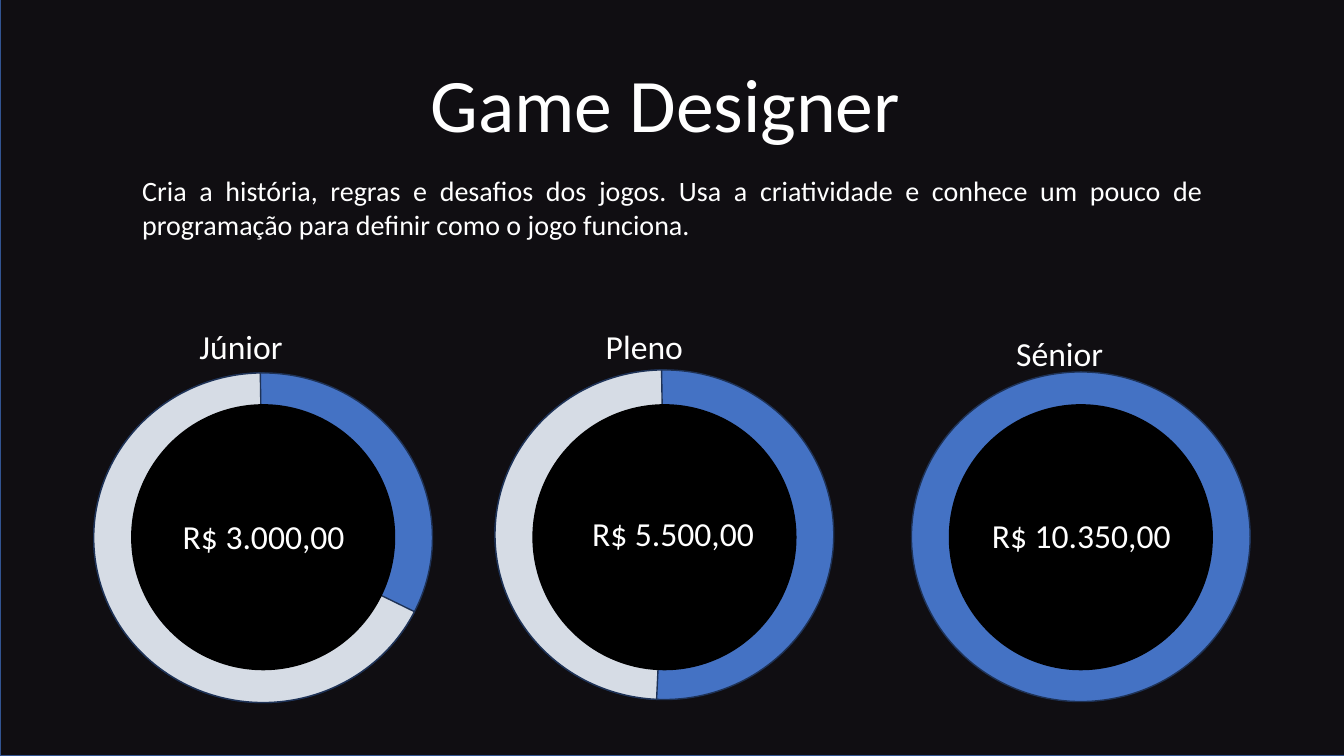
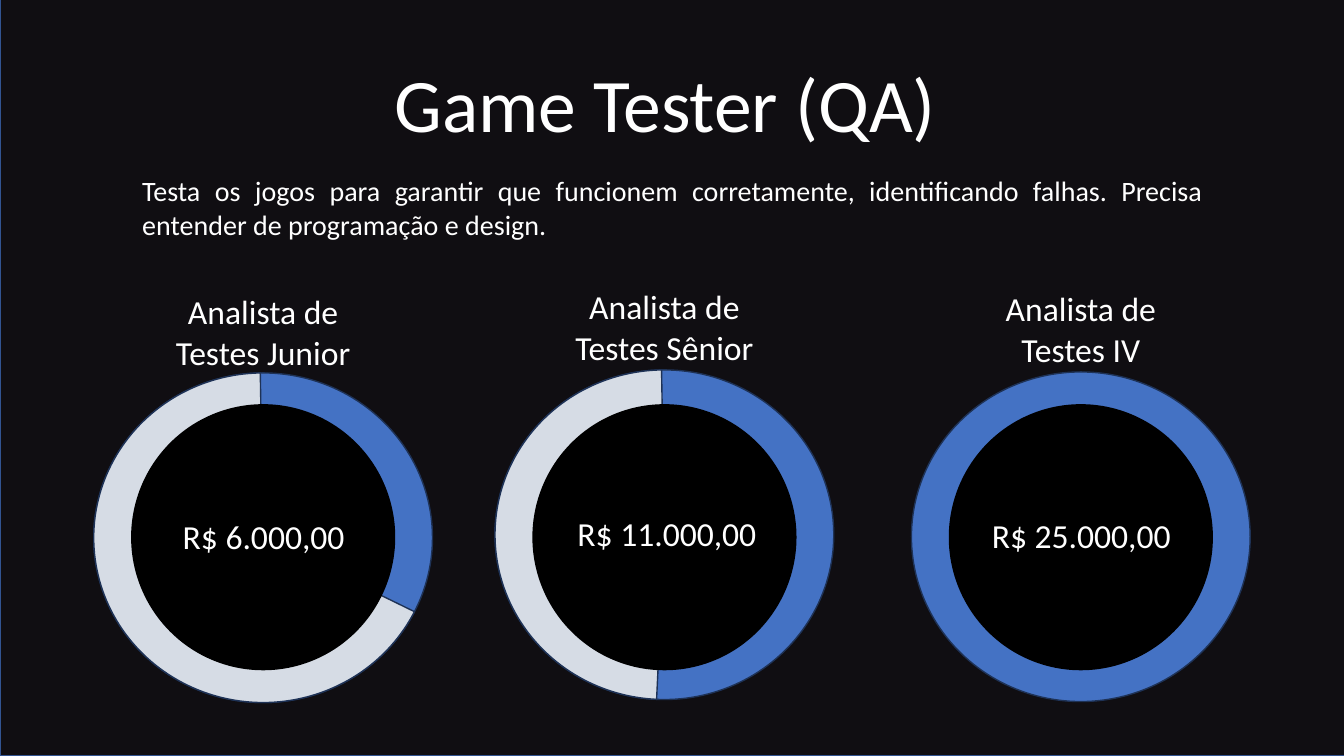
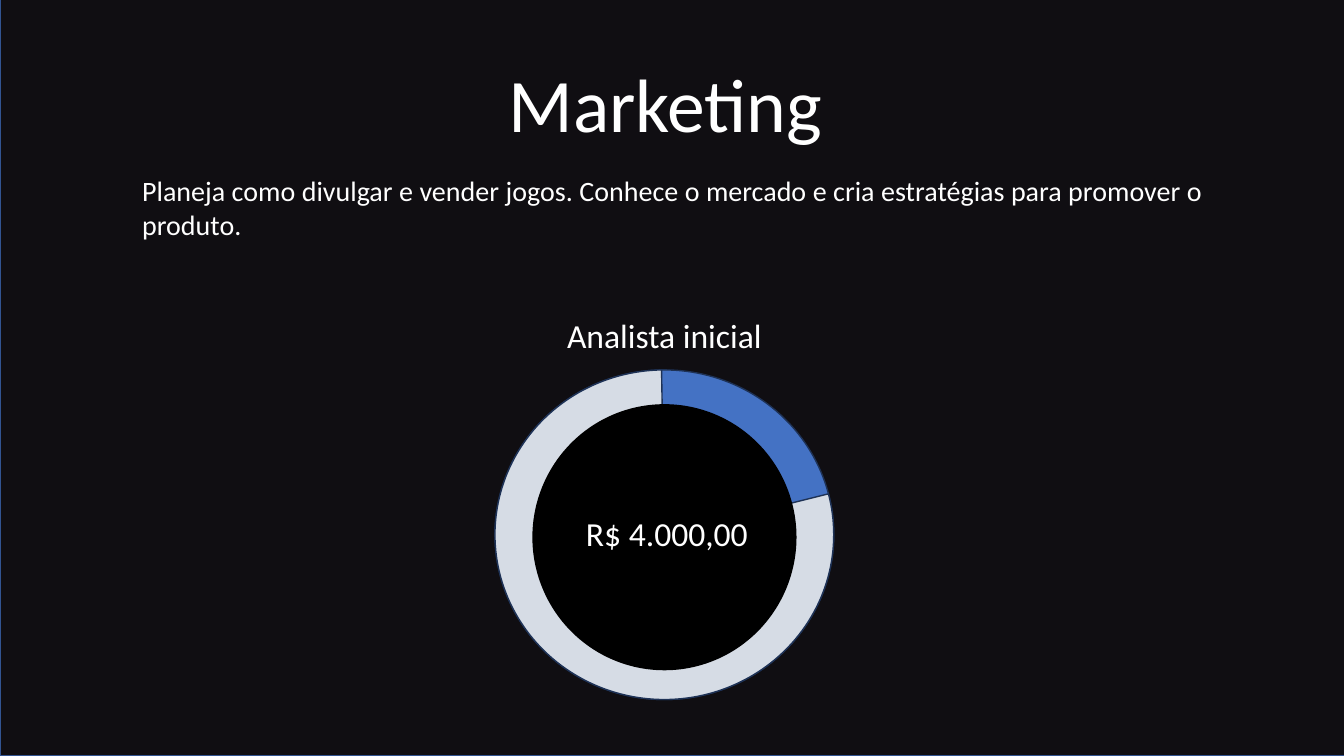
"""Builds three slides on game careers, with salary rings."""
from dataclasses import dataclass
from typing import Optional

from lxml.etree import SubElement
from pptx import Presentation
from pptx.dml.color import RGBColor
from pptx.enum.shapes import MSO_SHAPE as Shape
from pptx.enum.text import MSO_ANCHOR as Anchor, MSO_AUTO_SIZE as AutoSize, PP_ALIGN as Align
from pptx.oxml.ns import qn
from pptx.util import Inches, Pt

COLORS = {
    "panel": "100E12",
    "panel_line": "325491",
    "filled": "4472C4",
    "rest": "D6DCE5",
    "ring_line": "1E3256",
    "hole": "000000",
    "text": "FFFFFF",
}
FONT = "Calibri"
RING_SIZE = (3.36, 3.27)
HOLE_SIZE = (2.62, 2.64)
HOLE_INSET = 0.37
HOLE_TOP = 4.01
SALARY_INSET = 0.28
REST_END = 269.03
JUNIOR, MIDDLE, SENIOR = (0.93, 3.7), (4.91, 3.67), (9.04, 3.69)
THIRD, HALF, FIFTH = 26.04, 92.7, 346.01


@dataclass
class Level:
    position: tuple
    label: str
    label_top: float
    salary: str
    rest_start: Optional[float] = None
    label_inset: float = 0
    label_align: Align = Align.CENTER
    salary_shift: float = 0


SLIDES = [
    (
        "Game Designer",
        "Cria a história, regras e desafios dos jogos. Usa a criatividade e conhece "
        "um pouco de programação para definir como o jogo funciona.",
        [
            Level(JUNIOR, "Júnior", 3.18, "R$ 3.000,00", THIRD, 0.95, Align.LEFT),
            Level(MIDDLE, "Pleno", 3.18, "R$ 5.500,00", HALF, 1, Align.LEFT, 0.08),
            Level(SENIOR, "Sénior", 3.25, "R$ 10.350,00", None, 0.94, Align.LEFT),
        ],
    ),
    (
        "Game Tester (QA)",
        "Testa os jogos para garantir que funcionem corretamente, identificando "
        "falhas. Precisa entender de programação e design.",
        [
            Level(JUNIOR, "Analista de\nTestes Junior", 2.84, "R$ 6.000,00", THIRD),
            Level(MIDDLE, "Analista de\nTestes Sênior", 2.79, "R$ 11.000,00", HALF, salary_shift=0.02),
            Level(SENIOR, "Analista de\nTestes IV", 2.81, "R$ 25.000,00"),
        ],
    ),
    (
        "Marketing",
        "Planeja como divulgar e vender jogos. Conhece o mercado e cria estratégias "
        "para promover o produto.",
        [Level(MIDDLE, "Analista inicial", 3.08, "R$ 4.000,00", FIFTH, salary_shift=0.02)],
    ),
]


class Deck:
    """Holds the style and the current slide."""

    def __init__(self):
        """Sets up a wide presentation."""
        self.presentation = Presentation()
        self.presentation.slide_width = Inches(13.33)
        self.presentation.slide_height = Inches(7.5)
        self.layout = self.presentation.slide_layouts[1]
        self.slide = None

    def add_slide(self, title, description):
        """Adds a slide with its title and description."""
        self.slide = self.presentation.slides.add_slide(self.layout)
        self.panel()
        body = self.slide.placeholders[1]
        self.set_text(self.slide.shapes.title, (-0.14, 0.51, 13.48, 1.01), title, 54, Align.CENTER)
        self.set_text(body, (1.31, 1.67, 10.72, 0.77), description, 20, Align.JUSTIFY)

    def panel(self):
        """Draws the dark panel behind everything else."""
        panel = self.shape(Shape.RECTANGLE, (0, -0.1), (13.48, 7.6), "panel", "panel_line")
        self.slide.shapes.element.insert(2, panel.element)

    def shape(self, kind, position, size, fill, line=None):
        """Draws a filled preset shape."""
        shape = self.slide.shapes.add_shape(kind, *map(Inches, (*position, *size)))
        shape.shadow.inherit = False
        shape.fill.solid()
        shape.fill.fore_color.rgb = RGBColor.from_string(COLORS[fill])
        if line:
            shape.line.color.rgb = RGBColor.from_string(COLORS[line])
            shape.line.width = Pt(1)
        else:
            shape.line.fill.background()
        return shape

    def set_text(self, shape, box, text, size, align):
        """Places a text holder and formats its text."""
        shape.left, shape.top, shape.width, shape.height = map(Inches, box)
        frame = shape.text_frame
        frame.text = text
        frame.word_wrap = True
        frame.auto_size = AutoSize.NONE
        frame.vertical_anchor = Anchor.TOP
        for paragraph in frame.paragraphs:
            paragraph.alignment = align
            paragraph.space_before = Pt(0)
            properties = paragraph._p.get_or_add_pPr()
            properties.set("marL", "0")
            properties.set("indent", "0")
            SubElement(properties, qn("a:buNone"))
            for run in paragraph.runs:
                run.font.name = FONT
                run.font.size = Pt(size)
                run.font.color.rgb = RGBColor.from_string(COLORS["text"])

    def text(self, box, text, align=Align.CENTER):
        """Adds a text box in the label style."""
        shape = self.slide.shapes.add_textbox(*map(Inches, box))
        self.set_text(shape, box, text, 24, align)

    def ring(self, level):
        """Draws a salary ring with its label and amount."""
        left, top = level.position
        width = RING_SIZE[0]
        self.shape(Shape.OVAL, level.position, RING_SIZE, "filled", "ring_line")
        if level.rest_start is not None:
            rest = self.shape(Shape.PIE, level.position, RING_SIZE, "rest", "ring_line")
            for index, degrees in enumerate((level.rest_start, REST_END)):
                rest.adjustments[index] = degrees * 0.6
        self.shape(Shape.OVAL, (left + HOLE_INSET, HOLE_TOP), HOLE_SIZE, "hole")
        salary_left = left + SALARY_INSET + level.salary_shift
        self.text((salary_left, top + 1.37, 2.81, 0.5), level.salary)
        height = 0.5 + 0.41 * level.label.count("\n")
        label_box = (left + level.label_inset, level.label_top, width - level.label_inset, height)
        self.text(label_box, level.label, level.label_align)


def main():
    """Builds and saves the presentation."""
    deck = Deck()
    for title, description, levels in SLIDES:
        deck.add_slide(title, description)
        for level in levels:
            deck.ring(level)
    deck.presentation.save("out.pptx")


if __name__ == "__main__":
    main()
